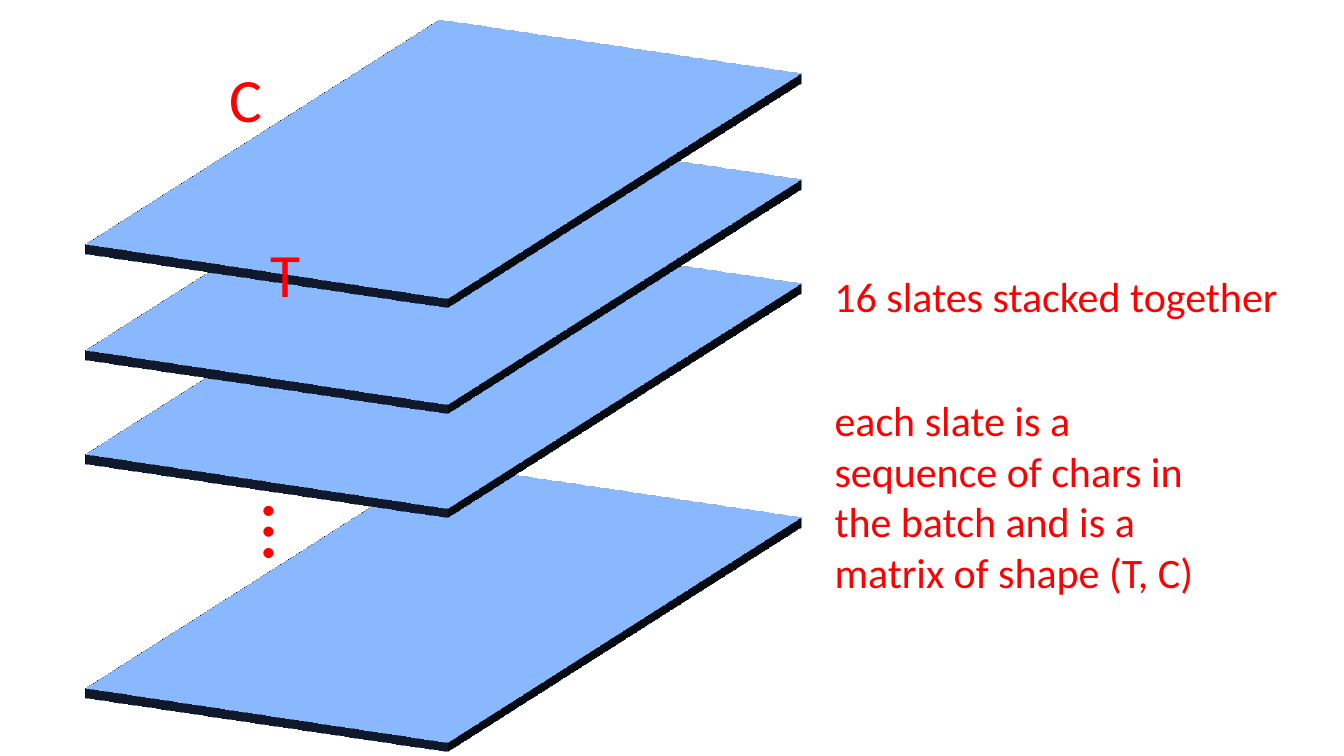
from lxml import etree
from pptx import Presentation
from pptx.dml.color import RGBColor
from pptx.enum.shapes import MSO_SHAPE
from pptx.oxml.ns import qn
from pptx.util import Pt

RECTANGLE = MSO_SHAPE.RECTANGLE
COLOURS = {"slate": "4472C4", "edge": "1E3256", "label": "FF0000"}

# Each slate is a flat rectangle, tilted by the camera and given a thickness
SLATE_LEFT, SLATE_WIDTH, SLATE_HEIGHT = 172.8, 288, 576
SLATE_TOPS = [142.6, -24.5, -98.6, -174.2]
CAMERA = "isometricOffAxis2Top"
THICKNESS = 7

# text, (left, top, width, height), size, rotation
LABELS = [
    ("…", (146.2, 378.7, 132.5, 79.9), 60, 90),
    ("16 slates stacked together", (589, 189.4, 378.7, 43.9), 30, 0),
    ("T", (185.8, 164.9, 288, 144), 44, 0),
    ("C", (157, 40.3, 288, 60.5), 44, 0),
    ("each slate is a sequence of chars in the batch and is a matrix of shape (T, C)",
     (589, 278.6, 295.9, 174.2), 30, 0),
]


def tilt(slate):
    """Turn a flat rectangle into a thin slab seen from above."""
    properties = slate._element.spPr
    scene = etree.SubElement(properties, qn("a:scene3d"))
    etree.SubElement(scene, qn("a:camera"), prst=CAMERA)
    etree.SubElement(scene, qn("a:lightRig"), rig="threePt", dir="t")
    etree.SubElement(properties, qn("a:sp3d"), extrusionH=str(Pt(THICKNESS)))


def add_slate(slide, top):
    box = (SLATE_LEFT, top, SLATE_WIDTH, SLATE_HEIGHT)
    slate = slide.shapes.add_shape(RECTANGLE, *(Pt(v) for v in box))
    slate.shadow.inherit = False
    slate.fill.solid()
    slate.fill.fore_color.rgb = RGBColor.from_string(COLOURS["slate"])
    slate.line.color.rgb = RGBColor.from_string(COLOURS["edge"])
    slate.line.width = Pt(1)
    tilt(slate)


def add_label(slide, text, box, size, rotation=0, font="Calibri", colour="label"):
    label = slide.shapes.add_textbox(*(Pt(v) for v in box))
    label.rotation = rotation
    label.text_frame.word_wrap = True
    run = label.text_frame.paragraphs[0].add_run()
    run.text = text
    run.font.name = font
    run.font.size = Pt(size)
    run.font.color.rgb = RGBColor.from_string(COLOURS[colour])


def main():
    deck = Presentation()
    deck.slide_width, deck.slide_height = Pt(960), Pt(540)
    slide = deck.slides.add_slide(deck.slide_layouts[6])
    for top in SLATE_TOPS:
        add_slate(slide, top)
    for text, box, size, rotation in LABELS:
        add_label(slide, text, box, size=size, rotation=rotation)
    deck.save("out.pptx")


if __name__ == "__main__":
    main()
